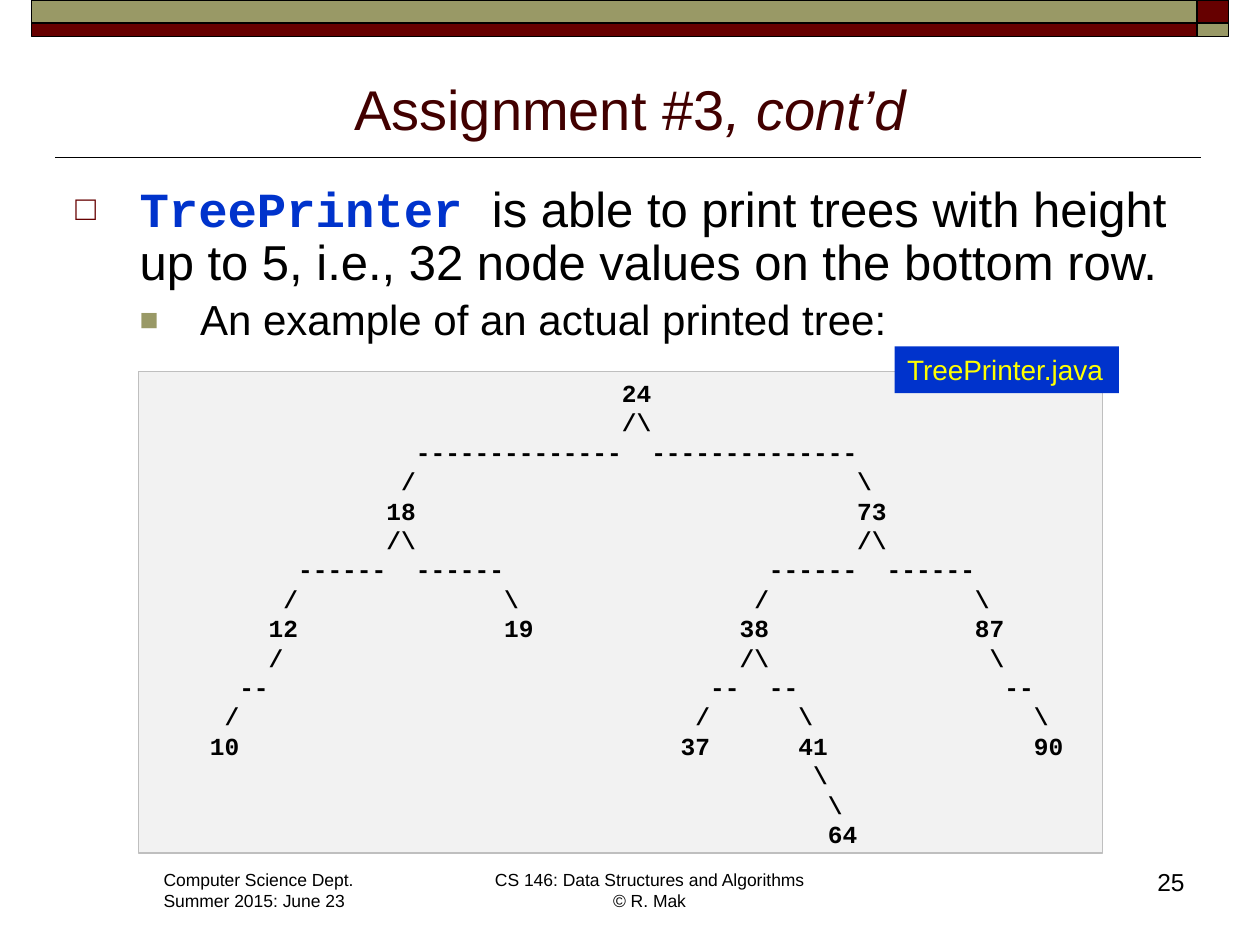
from lxml.etree import SubElement
from pptx import Presentation
from pptx.dml.color import RGBColor
from pptx.enum.shapes import MSO_CONNECTOR, MSO_SHAPE
from pptx.enum.text import MSO_ANCHOR, PP_ALIGN
from pptx.oxml.ns import qn
from pptx.util import Inches, Pt

BLACK, MAROON, DARK_MAROON, OLIVE = "000000", "660000", "420000", "999966"
BLUE, YELLOW, PALE_GRAY, GRAY = "0033CC", "FFFF00", "F2F2F2", "BFBFBF"

# Each printed row maps a character column to the token that starts there.
TREE_ROWS = [
    {32: "24"},
    {32: "/\\"},
    {18: "-" * 14, 34: "-" * 14},
    {17: "/", 48: "\\"},
    {16: "18", 48: "73"},
    {16: "/\\", 48: "/\\"},
    {10: "-" * 6, 18: "-" * 6, 42: "-" * 6, 50: "-" * 6},
    {9: "/", 24: "\\", 41: "/", 56: "\\"},
    {8: "12", 24: "19", 40: "38", 56: "87"},
    {8: "/", 40: "/\\", 57: "\\"},
    {6: "--", 38: "--", 42: "--", 58: "--"},
    {5: "/", 37: "/", 44: "\\", 60: "\\"},
    {4: "10", 36: "37", 44: "41", 60: "90"},
    {45: "\\"},
    {46: "\\"},
    {46: "64"},
]


def print_row(tokens):
    line = ""
    for column, token in tokens.items():
        line = line.ljust(column) + token
    return line


def color(hex_value):
    return RGBColor.from_string(hex_value)


def style_font(font, size, hex_value=BLACK, name="Arial", bold=False, italic=False):
    font.size = Pt(size)
    font.color.rgb = color(hex_value)
    font.name = name
    font.bold = bold
    font.italic = italic


def add_run(paragraph, text, size, **style):
    run = paragraph.add_run()
    run.text = text
    style_font(run.font, size, **style)


def write_text(shape, text, size, align=PP_ALIGN.LEFT, wrap=False, **style):
    """Fill a shape with one evenly styled paragraph per line of text."""
    frame = shape.text_frame
    frame.word_wrap = wrap
    frame.vertical_anchor = MSO_ANCHOR.TOP
    frame.text = text
    for paragraph in frame.paragraphs:
        paragraph.alignment = align
        style_font(paragraph.font, size, **style)


def add_box(slide, left, top, width, height):
    return slide.shapes.add_textbox(
        Inches(left), Inches(top), Inches(width), Inches(height))


def add_rectangle(slide, left, top, width, height, fill, line=None, line_width=1):
    shape = slide.shapes.add_shape(
        MSO_SHAPE.RECTANGLE,
        Inches(left), Inches(top), Inches(width), Inches(height))
    shape.shadow.inherit = False
    shape.fill.solid()
    shape.fill.fore_color.rgb = color(fill)
    if line:
        shape.line.color.rgb = color(line)
        shape.line.width = Pt(line_width)
    else:
        shape.line.fill.background()
    return shape


def add_rule(slide, left, right, top):
    rule = slide.shapes.add_connector(
        MSO_CONNECTOR.STRAIGHT,
        Inches(left), Inches(top), Inches(right), Inches(top))
    rule.line.color.rgb = color(BLACK)
    rule.line.width = Pt(1)
    SubElement(rule.element.spPr, qn("a:effectLst"))


def format_bullet(paragraph, character, hex_value, percent, margin, hanging, before):
    paragraph.line_spacing = 0.9
    paragraph.space_before = Pt(before)
    properties = paragraph._p.get_or_add_pPr()
    properties.set("marL", str(Inches(margin)))
    properties.set("indent", str(-Inches(hanging)))
    bullet_color = SubElement(properties, qn("a:buClr"))
    SubElement(bullet_color, qn("a:srgbClr"), val=hex_value)
    SubElement(properties, qn("a:buSzPct"), val=str(percent * 1000))
    SubElement(properties, qn("a:buFont"), typeface="Arial")
    SubElement(properties, qn("a:buChar"), char=character)


def add_header_band(slide):
    add_rule(slide, 0.44, 9.53, 1.25)
    rows = [(0, 0.18, OLIVE, MAROON), (0.18, 0.11, MAROON, OLIVE)]
    for top, height, bar_fill, corner_fill in rows:
        add_rectangle(slide, 0.25, top, 9.25, height, bar_fill, BLACK)
        add_rectangle(slide, 9.5, top, 0.25, height, corner_fill, BLACK)


def add_footer(slide):
    write_text(add_box(slide, 1.2, 6.85, 1.73, 0.44),
               "Computer Science Dept.\nSummer 2015: June 23", 10)
    write_text(add_box(slide, 3.82, 6.85, 2.67, 0.44),
               "CS 146: Data Structures and Algorithms\v© R. Mak", 10,
               align=PP_ALIGN.CENTER)
    write_text(add_box(slide, 7.42, 6.83, 2.08, 0.5), "25", 14,
               align=PP_ALIGN.RIGHT, wrap=True)


def add_title(slide):
    frame = add_box(slide, 0.5, 0.45, 9, 0.72).text_frame
    frame.word_wrap = True
    frame.vertical_anchor = MSO_ANCHOR.BOTTOM
    paragraph = frame.paragraphs[0]
    paragraph.alignment = PP_ALIGN.CENTER
    add_run(paragraph, "Assignment #3", 32, hex_value=DARK_MAROON)
    add_run(paragraph, ", cont’d", 32, hex_value=DARK_MAROON, italic=True)


def add_body(slide):
    frame = add_box(slide, 0.5, 1.42, 9, 1.43).text_frame
    frame.word_wrap = True
    point = frame.paragraphs[0]
    format_bullet(point, "□", MAROON, 70, 0.51, 0.51, 5.6)
    add_run(point, "TreePrinter ", 28, hex_value=BLUE, name="Courier New", bold=True)
    add_run(point, "is able to print trees with height up to 5, "
                   "i.e., 32 node values on the bottom row.", 28)
    subpoint = frame.add_paragraph()
    subpoint.level = 1
    format_bullet(subpoint, "■", OLIVE, 75, 0.99, 0.48, 4.8)
    add_run(subpoint, "An example of an actual printed tree:", 24)


def add_printed_tree(slide):
    panel = add_rectangle(slide, 1.1, 2.95, 7.65, 3.82, PALE_GRAY, GRAY, 0.75)
    write_text(panel, "\n".join(map(print_row, TREE_ROWS)), 14, wrap=True,
               name="Courier New", bold=True)
    label = add_rectangle(slide, 7.1, 2.75, 1.78, 0.37, BLUE)
    write_text(label, "TreePrinter.java", 16, hex_value=YELLOW)


def main():
    presentation = Presentation()
    presentation.slide_width = Inches(10)
    presentation.slide_height = Inches(7.5)
    slide = presentation.slides.add_slide(presentation.slide_layouts[6])
    add_header_band(slide)
    add_footer(slide)
    add_title(slide)
    add_body(slide)
    add_printed_tree(slide)
    presentation.save("out.pptx")


if __name__ == "__main__":
    main()
